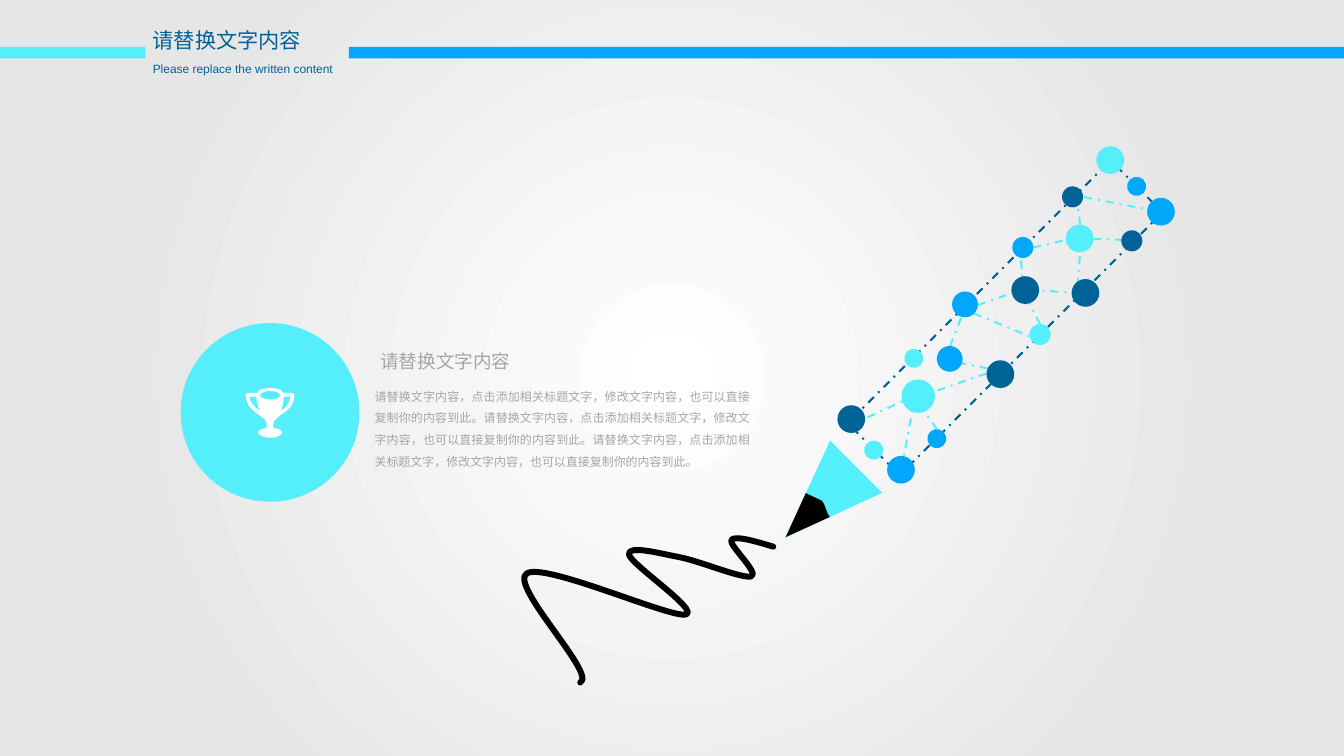
from dataclasses import dataclass

from lxml.etree import SubElement
from pptx import Presentation
from pptx.dml.color import RGBColor
from pptx.enum.dml import MSO_LINE
from pptx.enum.shapes import MSO_CONNECTOR, MSO_SHAPE as Shape
from pptx.enum.text import MSO_AUTO_SIZE, PP_ALIGN as Align
from pptx.oxml.ns import qn
from pptx.util import Inches, Pt


@dataclass(frozen=True)
class Theme:
    cyan: str = "55EEFB"
    blue: str = "00A7FB"
    navy: str = "006397"
    grey: str = "A6A6A6"
    black: str = "000000"
    white: str = "FFFFFF"
    edge: str = "E6E6E6"
    font: str = "Arial"
    title: int = 16
    heading: int = 14
    body: int = 9
    thin: float = 1.5
    thick: float = 4.5


T = Theme()
WIDTH, HEIGHT = 14.06, 7.91
TILT = 45

TITLE = "请替换文字内容"
SUBTITLE = "Please replace the written content"
HEADING = "请替换文字内容"
SENTENCE = "请替换文字内容，点击添加相关标题文字，修改文字内容，也可以直接复制你的内容到此。"
BODY = SENTENCE * 3

# left, width, colour
BARS = [(3.65, 10.42, T.blue), (0, 1.52, T.cyan)]

# from x, y, to x, y
LINKS = [
    (12.1, 2.21, 11.33, 2.06), (11.75, 2.51, 11.44, 2.5),
    (11.27, 2.99, 11.3, 2.65), (11.3, 2.35, 11.26, 2.04),
    (10.81, 2.59, 11.24, 2.49), (10.88, 3.39, 10.71, 3.06),
    (10.23, 3.19, 10.67, 3.04), (10.71, 3.04, 10.67, 2.6),
    (10.76, 3.03, 11.32, 3.07), (10.19, 3.28, 10.87, 3.56),
    (9.94, 3.62, 10.08, 3.26), (9.8, 3.75, 10.46, 3.88),
    (9.8, 4.49, 9.61, 4.22), (9.57, 4.14, 8.96, 4.42),
    (9.43, 4.91, 9.55, 4.26), (9.59, 4.16, 10.37, 3.89),
]

# left, top, diameter, colour
DOTS = [
    (9.04, 4.61, 0.2, T.cyan), (11.47, 1.53, 0.29, T.cyan),
    (12, 2.07, 0.29, T.blue), (11.73, 2.41, 0.22, T.navy),
    (11.11, 1.95, 0.22, T.navy), (11.79, 1.85, 0.2, T.blue),
    (8.76, 4.24, 0.29, T.navy), (9.28, 4.77, 0.29, T.blue),
    (11.15, 2.35, 0.29, T.cyan), (9.96, 3.05, 0.27, T.blue),
    (10.77, 3.39, 0.22, T.cyan), (10.59, 2.48, 0.22, T.blue),
    (10.32, 3.77, 0.29, T.navy), (11.21, 2.92, 0.29, T.navy),
    (9.7, 4.49, 0.2, T.blue), (9.46, 3.65, 0.2, T.cyan),
    (9.43, 3.97, 0.35, T.cyan), (9.8, 3.62, 0.27, T.blue),
    (10.58, 2.89, 0.29, T.navy),
]

# Outlines: a start point, then lines (x, y) or Bezier curves (two controls and an end)
PENCIL_LEAD = [[(8.43, 5.16), (8.22, 5.62), (8.68, 5.41),
                (8.64, 5.36, 8.64, 5.29, 8.6, 5.24), (8.43, 5.16)]]
SCRIBBLE = [[
    (8.09, 5.72), (7.89, 5.66, 7.69, 5.6, 7.65, 5.65),
    (7.62, 5.7, 7.95, 6, 7.86, 6.03), (7.77, 6.06, 7.32, 5.87, 7.11, 5.83),
    (6.9, 5.79, 6.57, 5.7, 6.58, 5.8), (6.59, 5.9, 7.34, 6.4, 7.17, 6.43),
    (6.99, 6.46, 5.69, 5.88, 5.51, 6), (5.32, 6.12, 6.25, 7.06, 6.07, 7.14),
]]
TROPHY = [
    [(2.86, 4.44), (2.86, 4.4, 2.89, 4.38, 2.94, 4.34),
     (3, 4.3, 3.08, 4.25, 3.08, 4.13), (3.08, 4.12, 3.07, 4.11, 3.06, 4.11),
     (2.96, 4.11, 2.96, 4.11, 2.96, 4.11), (2.95, 4.08, 2.91, 4.06, 2.83, 4.06),
     (2.74, 4.06, 2.7, 4.08, 2.69, 4.11), (2.59, 4.11, 2.59, 4.11, 2.59, 4.11),
     (2.58, 4.11, 2.57, 4.12, 2.57, 4.13), (2.57, 4.25, 2.65, 4.3, 2.71, 4.34),
     (2.76, 4.38, 2.79, 4.4, 2.79, 4.44), (2.79, 4.48, 2.79, 4.48, 2.79, 4.48),
     (2.74, 4.48, 2.7, 4.5, 2.7, 4.53), (2.7, 4.55, 2.76, 4.58, 2.83, 4.58),
     (2.9, 4.58, 2.95, 4.55, 2.95, 4.53), (2.95, 4.5, 2.91, 4.48, 2.86, 4.48),
     (2.86, 4.44)],
    [(2.94, 4.3), (2.95, 4.26, 2.97, 4.22, 2.97, 4.15),
     (3.04, 4.15, 3.04, 4.15, 3.04, 4.15), (3.03, 4.23, 2.99, 4.26, 2.94, 4.3)],
    [(2.83, 4.09), (2.9, 4.09, 2.93, 4.12, 2.93, 4.14),
     (2.93, 4.15, 2.9, 4.18, 2.83, 4.18), (2.75, 4.18, 2.72, 4.15, 2.72, 4.14),
     (2.72, 4.12, 2.75, 4.09, 2.83, 4.09)],
    [(2.61, 4.15), (2.68, 4.15, 2.68, 4.15, 2.68, 4.15),
     (2.69, 4.22, 2.7, 4.26, 2.72, 4.3), (2.67, 4.26, 2.62, 4.23, 2.61, 4.15)],
]


def rgb(color):
    return RGBColor.from_string(color)


def style(sp, fill=None, line=None, width=T.thin, dash=None):
    sp.shadow.inherit = False
    if fill:
        sp.fill.solid()
        sp.fill.fore_color.rgb = rgb(fill)
    else:
        sp.fill.background()
    if line:
        sp.line.color.rgb = rgb(line)
        sp.line.width = Pt(width)
        sp.line.dash_style = dash
    else:
        sp.line.fill.background()
    return sp


def add_preset(shapes, kind, box, rotation=0, **look):
    sp = shapes.add_shape(kind, *map(Inches, box))
    sp.rotation = rotation
    return style(sp, **look)


def add_backdrop(shapes):
    """Radial gradient from the centre of the slide."""
    sp = add_preset(shapes, Shape.RECTANGLE, (0, 0, WIDTH, HEIGHT))
    sp.fill.gradient()
    for stop, (position, color) in zip(sp.fill.gradient_stops, [(0, T.white), (0.73, T.edge)]):
        stop.position = position
        stop.color.rgb = rgb(color)
    grad = sp._element.spPr.find(qn("a:gradFill"))
    grad.remove(grad.find(qn("a:lin")))
    radial = SubElement(grad, qn("a:path"), path="circle")
    SubElement(radial, qn("a:fillToRect"), {side: "50000" for side in "ltrb"})


def add_outline(shapes, outlines, close=True, **look):
    """Draw the end points as a freeform, then bend the curved segments."""
    ends = [[tuple(map(Inches, seg[-2:])) for seg in outline] for outline in outlines]
    builder = shapes.build_freeform(*ends[0][0])
    for i, points in enumerate(ends):
        if i:
            builder.move_to(*points[0])
        builder.add_line_segments(points[1:], close=close)
    sp = builder.convert_to_shape()
    segments = [seg for outline in outlines for seg in outline[1:]]
    for node, seg in zip(list(sp._element.iter(qn("a:lnTo"))), segments):
        if len(seg) == 6:
            curve = node.makeelement(qn("a:cubicBezTo"))
            for x, y in zip(seg[::2], seg[1::2]):
                SubElement(curve, qn("a:pt"), x=str(Inches(x) - sp.left), y=str(Inches(y) - sp.top))
            node.getparent().replace(node, curve)
    return style(sp, **look)


def add_link(shapes, ends):
    s = shapes.add_connector(MSO_CONNECTOR.STRAIGHT, *map(Inches, ends))
    s.line.color.rgb = rgb(T.cyan)
    s.line.width = Pt(T.thin)
    s.line.dash_style = MSO_LINE.DASH_DOT
    SubElement(s._element.spPr, qn("a:effectLst"))


def add_text(shapes, text, box, *, size, color, wrap=False, align=None, spacing=None):
    tf = shapes.add_textbox(*map(Inches, box)).text_frame
    tf.word_wrap = wrap
    tf.auto_size = MSO_AUTO_SIZE.SHAPE_TO_FIT_TEXT
    p = tf.paragraphs[0]
    p.alignment, p.line_spacing = align, spacing
    r = p.add_run()
    r.text = text
    r.font.size, r.font.name = Pt(size), T.font
    r.font.color.rgb = rgb(color)


def main():
    prs = Presentation()
    prs.slide_width, prs.slide_height = Inches(WIDTH), Inches(HEIGHT)
    shapes = prs.slides.add_slide(prs.slide_layouts[6]).shapes
    add_backdrop(shapes)

    add_preset(shapes, Shape.RECTANGLE, (10.13, 1.38, 0.77, 3.89), TILT,
               line=T.navy, dash=MSO_LINE.DASH_DOT)
    add_preset(shapes, Shape.ISOSCELES_TRIANGLE, (8.2, 4.73, 0.77, 1.05), TILT + 180, fill=T.cyan)
    add_outline(shapes, PENCIL_LEAD, fill=T.black)
    for ends in LINKS:
        add_link(shapes, ends)
    for left, top, d, color in DOTS:
        add_preset(shapes, Shape.OVAL, (left, top, d, d), TILT, fill=color)
    scribble = add_outline(shapes, SCRIBBLE, close=False, line=T.black, width=T.thick)
    scribble.line._get_or_add_ln().set("cap", "rnd")

    add_text(shapes, HEADING, (3.88, 3.61, 1.58, 0.34), size=T.heading, color=T.grey)
    add_text(shapes, BODY, (3.82, 3.95, 4.12, 1.01), size=T.body, color=T.grey,
             wrap=True, align=Align.JUSTIFY, spacing=1.5)
    add_preset(shapes, Shape.OVAL, (1.89, 3.38, 1.87, 1.87), fill=T.cyan)
    add_outline(shapes, TROPHY, fill=T.white)

    for left, width, color in BARS:
        add_preset(shapes, Shape.RECTANGLE, (left, 0.49, width, 0.12), fill=color)
    add_text(shapes, SUBTITLE, (1.5, 0.59, 2.1, 0.25), size=T.body, color=T.navy)
    add_text(shapes, TITLE, (1.5, 0.24, 1.77, 0.37), size=T.title, color=T.navy)
    prs.save("out.pptx")


if __name__ == "__main__":
    main()
